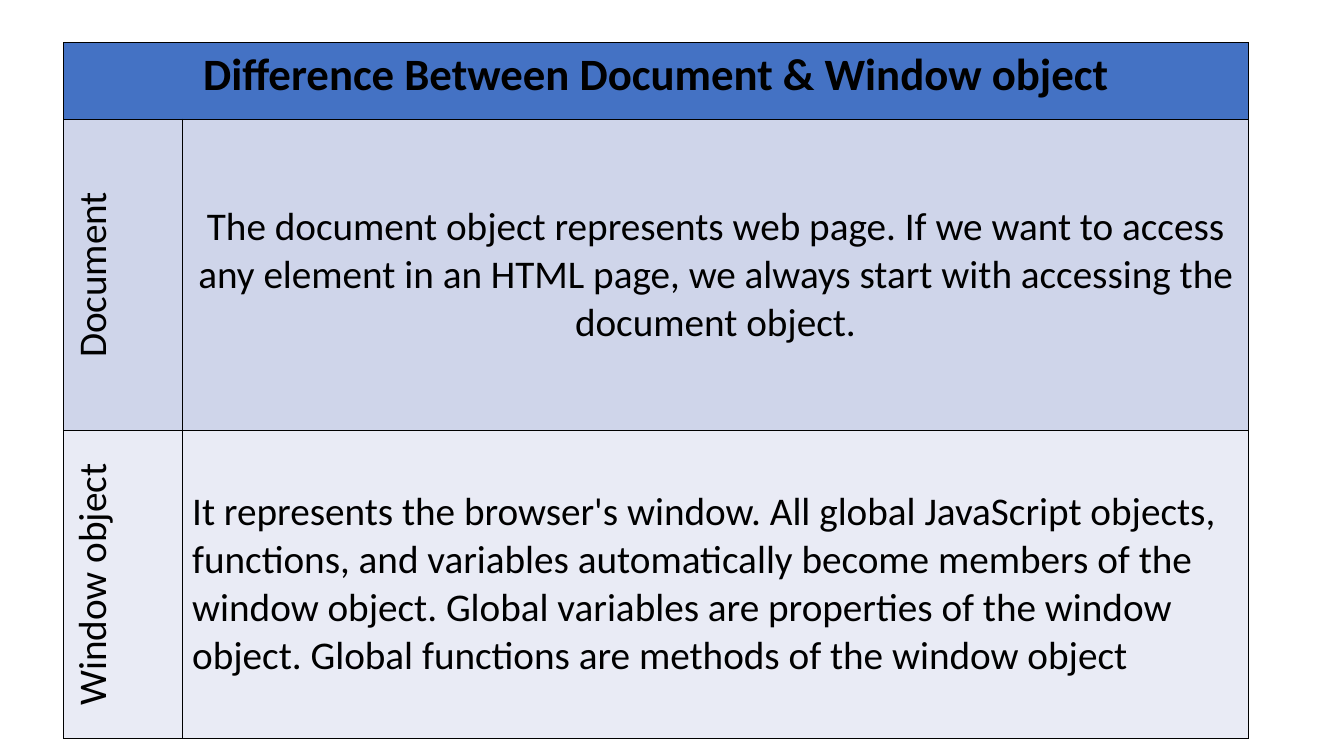
from pptx import Presentation
from pptx.util import Pt
from pptx.dml.color import RGBColor
from pptx.enum.text import MSO_ANCHOR as Anchor, PP_ALIGN as Align
from pptx.oxml.ns import qn
from lxml.etree import SubElement

COLORS = {"ink": "000000", "header": "4472C4", "band_dark": "CFD5EA", "band_light": "E9EBF5"}


class SlideBuilder:
    font = "Calibri"

    def __init__(self, deck):
        self.page = deck.slides.add_slide(deck.slide_layouts[6])

    def table(self, left, top, widths, heights):
        frame = self.page.shapes.add_table(
            len(heights), len(widths), Pt(left), Pt(top), Pt(sum(widths)), Pt(sum(heights)))
        grid = frame.table
        for column, width in zip(grid.columns, widths):
            column.width = Pt(width)
        for row, height in zip(grid.rows, heights):
            row.height = Pt(height)
        return grid

    def cell(self, cell, fill, text="", size=28, bold=False, align=Align.CENTER,
             anchor=Anchor.MIDDLE, upright=False):
        cell.fill.solid()
        cell.fill.fore_color.rgb = RGBColor.from_string(COLORS[fill])
        cell.vertical_anchor = anchor
        self.borders(cell)
        if upright:
            cell._tc.get_or_add_tcPr().set("vert", "vert270")
        if text:
            para = cell.text_frame.paragraphs[0]
            para.alignment = align
            span = para.add_run()
            span.text = text
            span.font.name = self.font
            span.font.size = Pt(size)
            span.font.bold = bold
            span.font.color.rgb = RGBColor.from_string(COLORS["ink"])

    def borders(self, cell, width=1):
        properties = cell._tc.get_or_add_tcPr()
        # Border lines must precede the fill
        for index, side in enumerate(("a:lnL", "a:lnR", "a:lnT", "a:lnB")):
            line = SubElement(properties, qn(side), w=str(Pt(width)))
            solid = SubElement(line, qn("a:solidFill"))
            SubElement(solid, qn("a:srgbClr"), val=COLORS["ink"])
            properties.insert(index, line)


deck = Presentation()
deck.slide_width, deck.slide_height = Pt(960), Pt(540)
builder = SlideBuilder(deck)

# Comparison table
comparison = builder.table(45.5, 30.5, widths=[84.6, 762], heights=[54.7, 222.5, 219.6])

# Title row across both columns
title = comparison.cell(0, 0)
title.merge(comparison.cell(0, 1))
builder.cell(title, "header", "Difference Between Document & Window object",
             size=32, bold=True, anchor=Anchor.TOP)
builder.cell(comparison.cell(0, 1), "header")

# One row per object: upright name, then description
objects = [
    ("Document", "band_dark", Align.CENTER,
     "The document object represents web page. If we want to access any element in an "
     "HTML page, we always start with accessing the document object."),
    ("Window object", "band_light", Align.LEFT,
     "It represents the browser's window. All global JavaScript objects, functions, and "
     "variables automatically become members of the window object. Global variables are "
     "properties of the window object. Global functions are methods of the window object"),
]
for row, (name, fill, align, description) in enumerate(objects, start=1):
    builder.cell(comparison.cell(row, 0), fill, name, upright=True)
    builder.cell(comparison.cell(row, 1), fill, description, align=align)

deck.save("out.pptx")
